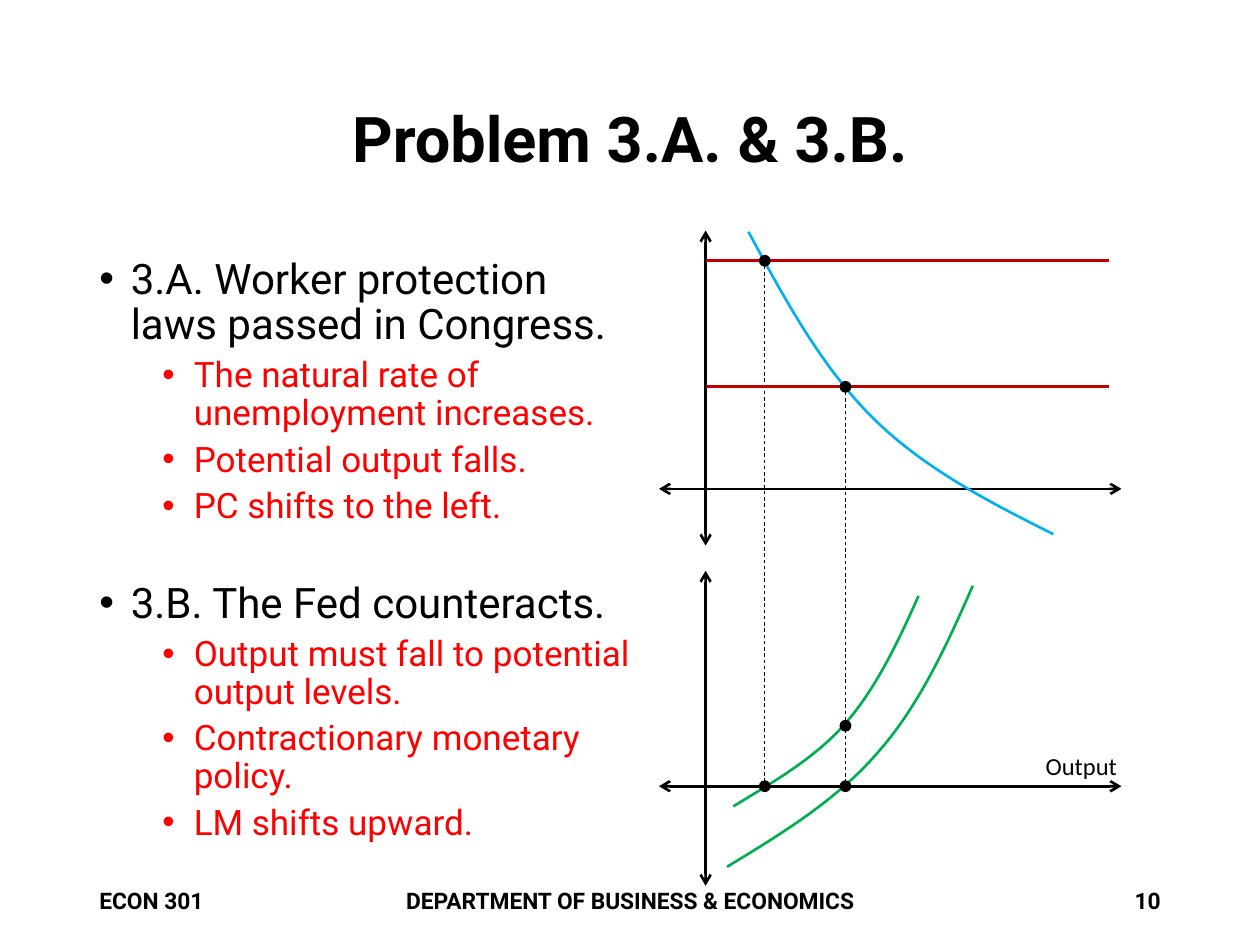
from lxml import etree
from pptx import Presentation
from pptx.dml.color import RGBColor
from pptx.enum.dml import MSO_LINE
from pptx.enum.shapes import MSO_CONNECTOR, MSO_SHAPE
from pptx.enum.text import MSO_ANCHOR, PP_ALIGN
from pptx.oxml.ns import qn
from pptx.util import Inches, Pt

LEFT, CENTER, RIGHT = PP_ALIGN.LEFT, PP_ALIGN.CENTER, PP_ALIGN.RIGHT
TOP, MIDDLE = MSO_ANCHOR.TOP, MSO_ANCHOR.MIDDLE
DASH = MSO_LINE.DASH
STRAIGHT, OVAL = MSO_CONNECTOR.STRAIGHT, MSO_SHAPE.OVAL

BLACK = RGBColor(0x00, 0x00, 0x00)
RED = RGBColor(0xFF, 0x00, 0x00)
DARK_RED = RGBColor(0xC0, 0x00, 0x00)
GREEN = RGBColor(0x00, 0xB0, 0x50)
BLUE = RGBColor(0x00, 0xB0, 0xF0)

TITLE = "Problem 3.A. & 3.B."
SECTIONS = [
    ("3.A. Worker protection laws passed in Congress.", [
        "The natural rate of unemployment increases.",
        "Potential output falls.",
        "PC shifts to the left.",
    ]),
    ("3.B. The Fed counteracts.", [
        "Output must fall to potential output levels.",
        "Contractionary monetary policy.",
        "LM shifts upward.",
    ]),
]
SECTION_GAP = 32
FOOTERS = [
    ("ECON 301", 0.69, 2.25, LEFT),
    ("DEPARTMENT OF BUSINESS & ECONOMICS", 1.85, 6.3, CENTER),
    ("10", 7.06, 2.25, RIGHT),
]

AXIS_X, AXIS_LEFT, AXIS_RIGHT = 5.6, 5.23, 8.9
UPPER_AXIS_Y, LOWER_AXIS_Y = 3.88, 6.24
AXIS_TOPS, AXIS_LENGTH = (1.83, 4.53), 2.5
NEW_OUTPUT, OLD_OUTPUT = 6.07, 6.71
PHILLIPS_LEVELS = [(NEW_OUTPUT, 2.07), (OLD_OUTPUT, 3.07)]
LEVEL_LENGTH = 3.2
DOT_SIZE = 0.08
DOTS = PHILLIPS_LEVELS + [
    (OLD_OUTPUT, LOWER_AXIS_Y),
    (OLD_OUTPUT, 5.76),
    (NEW_OUTPUT, LOWER_AXIS_Y),
]
CURVES = [
    (GREEN, [(5.77, 6.88), (6.2, 6.62), (6.64, 6.35), (6.96, 5.98),
             (7.29, 5.61), (7.51, 5.13), (7.72, 4.65)]),
    (GREEN, [(5.82, 6.4), (6.15, 6.2), (6.48, 6.01), (6.72, 5.73),
             (6.96, 5.45), (7.13, 5.09), (7.29, 4.73)]),
    (BLUE, [(5.94, 1.84), (6.23, 2.38), (6.52, 2.91), (6.92, 3.31),
            (7.32, 3.71), (7.84, 3.98), (8.36, 4.24)]),
]


def write(paragraph, text, size, color=BLACK, font="Roboto", bold=False,
          align=LEFT, spacing=None, before=None, bullet_indent=None):
    if bullet_indent is not None:
        properties = paragraph._p.get_or_add_pPr()
        properties.set("marL", str(Inches(bullet_indent)))
        properties.set("indent", str(Inches(-0.25)))
        etree.SubElement(properties, qn("a:buFont")).set("typeface", "Arial")
        etree.SubElement(properties, qn("a:buChar")).set("char", "•")
    paragraph.alignment = align
    if spacing is not None:
        paragraph.line_spacing = spacing
    if before is not None:
        paragraph.space_before = Pt(before)
    run = paragraph.add_run()
    run.text = text
    run.font.size = Pt(size)
    run.font.name = font
    run.font.bold = bold
    run.font.color.rgb = color


def add_text_frame(slide, left, top, width, height, anchor=TOP, wrap=True):
    box = slide.shapes.add_textbox(*map(Inches, (left, top, width, height)))
    box.text_frame.word_wrap = wrap
    box.text_frame.vertical_anchor = anchor
    return box.text_frame


def add_line(slide, start, end, color=BLACK, width=1.5, dash=None, arrows=False):
    line = slide.shapes.add_connector(STRAIGHT, *map(Inches, (*start, *end)))
    line.line.color.rgb = color
    line.line.width = Pt(width)
    if dash is not None:
        line.line.dash_style = dash
    if arrows:
        outline = line.line._get_or_add_ln()
        for tag in ("a:headEnd", "a:tailEnd"):
            etree.SubElement(outline, qn(tag)).set("type", "arrow")
    etree.SubElement(line._element.spPr, qn("a:effectLst"))


def add_curve(slide, color, points):
    corners = [(Inches(x), Inches(y)) for x, y in points]
    builder = slide.shapes.build_freeform(*corners[0])
    builder.add_line_segments(corners[1:], close=False)
    curve = builder.convert_to_shape()
    outline = next(curve._element.iter(qn("a:path")))
    segments = outline.findall(qn("a:lnTo"))
    for first in range(0, len(segments), 3):
        bezier = etree.SubElement(outline, qn("a:cubicBezTo"))
        for segment in segments[first:first + 3]:
            bezier.append(segment[0])
            outline.remove(segment)
    curve.fill.background()
    curve.line.color.rgb = color
    curve.line.width = Pt(1.5)
    curve.shadow.inherit = False


def add_dot(slide, x, y):
    dot = slide.shapes.add_shape(OVAL, Inches(x - DOT_SIZE / 2), Inches(y - DOT_SIZE / 2),
                                 Inches(DOT_SIZE), Inches(DOT_SIZE))
    dot.fill.solid()
    dot.fill.fore_color.rgb = BLACK
    dot.line.color.rgb = BLACK
    dot.line.width = Pt(1)
    dot.shadow.inherit = False


def add_body(slide):
    frame = add_text_frame(slide, 0.69, 2, 4.47, 4.76)
    for number, (heading, points) in enumerate(SECTIONS):
        paragraph = frame.add_paragraph() if number else frame.paragraphs[0]
        write(paragraph, heading, 24, spacing=0.9, bullet_indent=0.25,
              before=SECTION_GAP if number else None)
        for point in points:
            paragraph = frame.add_paragraph()
            paragraph.level = 1
            write(paragraph, point, 20, color=RED, spacing=0.9, before=5, bullet_indent=0.75)


def add_graphs(slide):
    for y in (UPPER_AXIS_Y, LOWER_AXIS_Y):
        add_line(slide, (AXIS_LEFT, y), (AXIS_RIGHT, y), arrows=True)
    for top in AXIS_TOPS:
        add_line(slide, (AXIS_X, top), (AXIS_X, top + AXIS_LENGTH), arrows=True)
    for output, y in PHILLIPS_LEVELS:
        add_line(slide, (AXIS_X, y), (AXIS_X + LEVEL_LENGTH, y), color=DARK_RED)
        add_line(slide, (output, y + DOT_SIZE / 2), (output, LOWER_AXIS_Y), width=0.5, dash=DASH)
    for color, points in CURVES:
        add_curve(slide, color, points)
    for x, y in DOTS:
        add_dot(slide, x, y)
    label = add_text_frame(slide, 8.2, 5.91, 0.78, 0.34, wrap=False)
    write(label.paragraphs[0], "Output", 14, font="Calibri")


def main():
    presentation = Presentation()
    presentation.slide_width, presentation.slide_height = Inches(10), Inches(7.5)
    slide = presentation.slides.add_slide(presentation.slide_layouts[5])

    title = slide.shapes.title
    title.left, title.top, title.width, title.height = map(Inches, (0.69, 0.4, 8.62, 1.45))
    title.text_frame.vertical_anchor = MIDDLE
    write(title.text_frame.paragraphs[0], TITLE, 36, bold=True, align=CENTER, spacing=0.9)

    add_body(slide)
    for text, left, width, align in FOOTERS:
        frame = add_text_frame(slide, left, 6.95, width, 0.4, anchor=MIDDLE)
        write(frame.paragraphs[0], text, 13, bold=True, align=align)
    add_graphs(slide)
    presentation.save("out.pptx")


if __name__ == "__main__":
    main()
